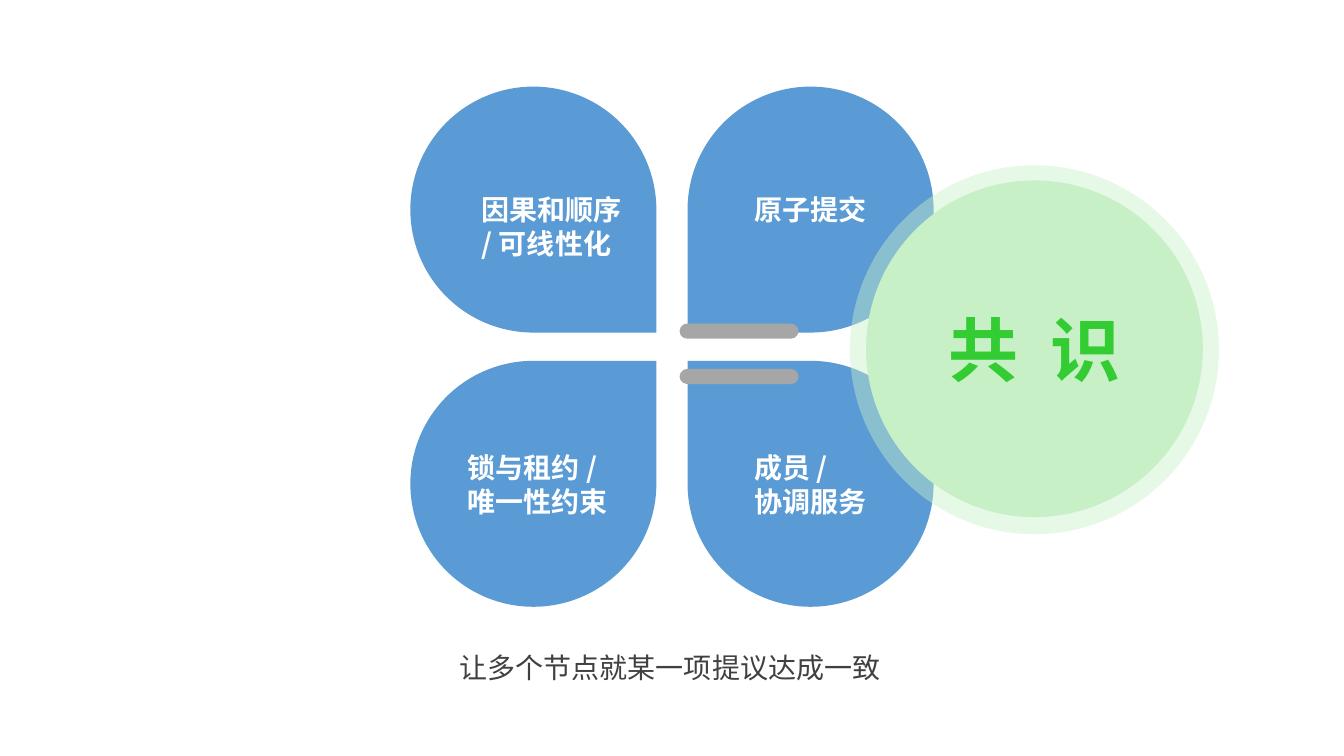
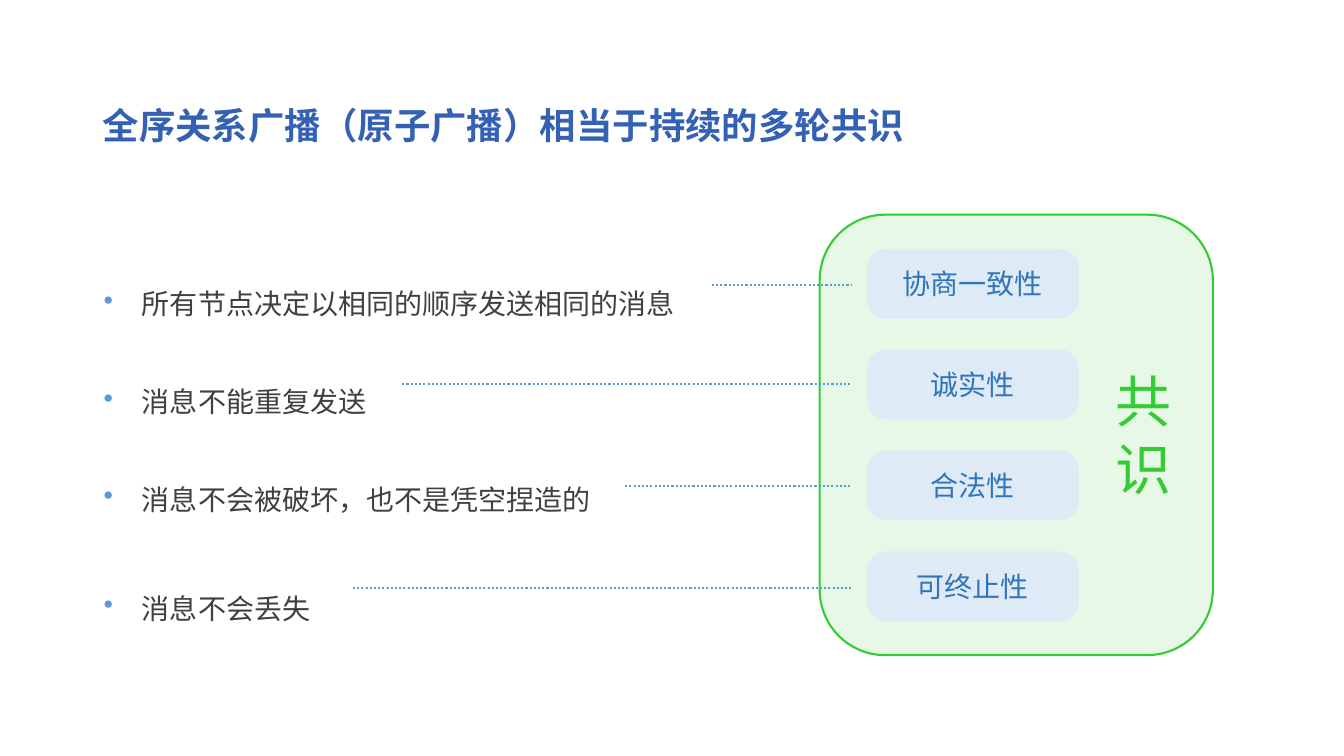
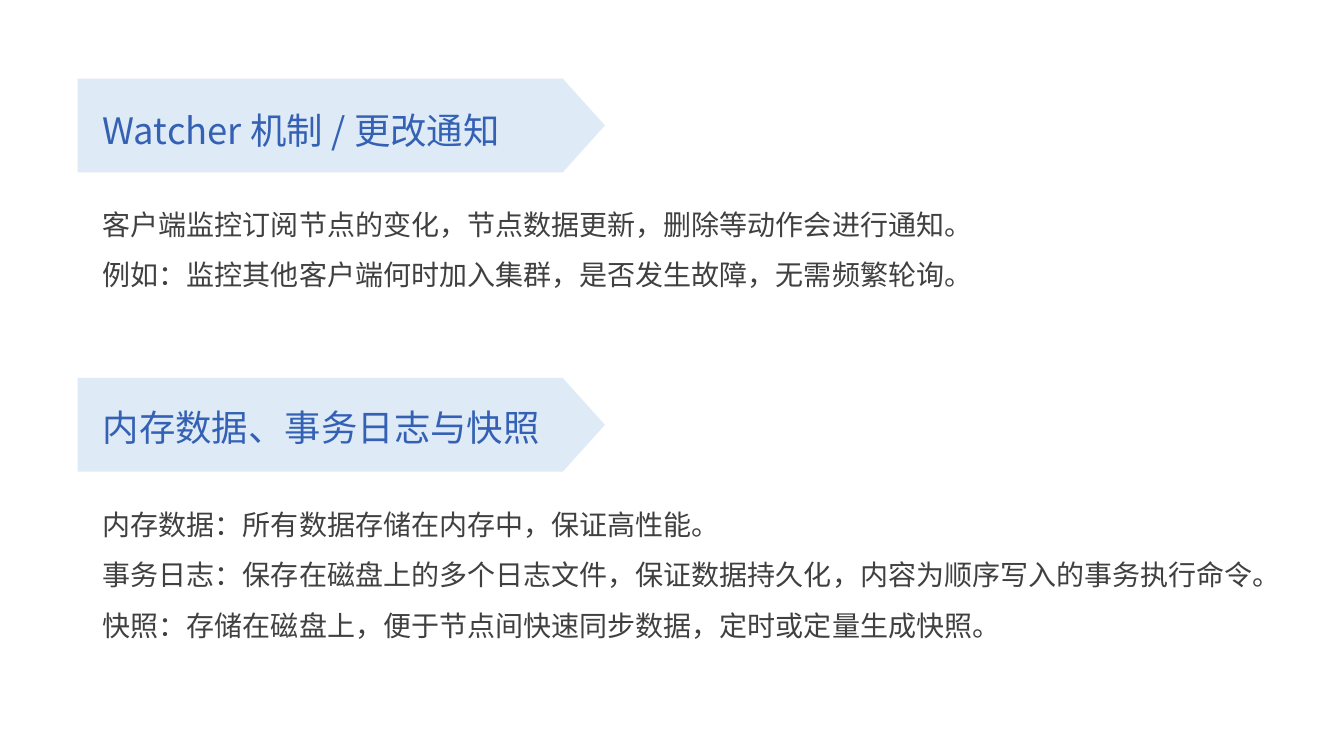
"""Build three slides on consensus, broadcast and watchers."""
import dataclasses
import itertools

import pptx
import pptx.dml.color
import pptx.enum.dml
import pptx.enum.shapes
import pptx.enum.text
import pptx.oxml.ns
import pptx.util
from lxml import etree


@dataclasses.dataclass(frozen=True)
class Theme:
    font: str = "Noto Sans CJK SC"
    white: str = "FFFFFF"
    ink: str = "404040"
    blue: str = "5B9BD5"
    pale: str = "DEEBF7"
    label: str = "3075BA"
    title: str = "3561B4"
    green: str = "33CC33"
    mint: str = "C7F0C6"
    gray: str = "A6A6A6"
    body: int = 20
    head: int = 26
    tall: int = 40
    huge: int = 50
    line: float = 1.5


THEME = Theme()
SCALE = 9144
SHAPE = pptx.enum.shapes.MSO_SHAPE
ALIGN = pptx.enum.text.PP_ALIGN
FIT = pptx.enum.text.MSO_AUTO_SIZE

PETALS = [
    (468, 186, 160, 77, "因果和顺序\n/ 可线性化"),
    (738, 186, 132, 44, "原子提交"),
    (454, 442, 160, 77, "锁与租约 /\n唯一性约束"),
    (738, 442, 132, 77, "成员 /\n协调服务"),
]
MOTTO = "让多个节点就某一项提议达成一致"
CORE = "共 识"

TITLE = "全序关系广播（原子广播）相当于持续的多轮共识"
TRAITS = [
    ("所有节点决定以相同的顺序发送相同的消息", 213, "协商一致性", 706, 283),
    ("消息不能重复发送", 310, "诚实性", 399, 381),
    ("消息不会被破坏，也不是凭空捏造的", 407, "合法性", 620, 482),
    ("消息不会丢失", 515, "可终止性", 350, 583),
]

TOPICS = [
    (78, 102, "Watcher 机制 / 更改通知", 184, 111,
     "客户端监控订阅节点的变化，节点数据更新，删除等动作会进行通知。\n"
     "例如：监控其他客户端何时加入集群，是否发生故障，无需频繁轮询。"),
    (375, 397, "内存数据、事务日志与快照", 482, 156,
     "内存数据：所有数据存储在内存中，保证高性能。\n"
     "事务日志：保存在磁盘上的多个日志文件，保证数据持久化，内容为顺序写入的事务执行命令。\n"
     "快照：存储在磁盘上，便于节点间快速同步数据，定时或定量生成快照。"),
]


def px(*sizes):
    return [pptx.util.Emu(size * SCALE) for size in sizes]


def color(code):
    return pptx.dml.color.RGBColor.from_string(code)


def child(node, tag, **attrs):
    return etree.SubElement(node, pptx.oxml.ns.qn(tag), attrs)


def write(frame, text, size=THEME.body, ink=THEME.ink, bold=False,
          align=ALIGN.LEFT, lead=None, dot=None, track=None):
    for num, part in enumerate(text.split("\n")):
        para = frame.add_paragraph() if num else frame.paragraphs[0]
        para.alignment = align
        if lead:
            para.line_spacing = lead
        if dot:
            props = para._p.get_or_add_pPr()
            props.set("marL", str(38 * SCALE))
            props.set("indent", str(-38 * SCALE))
            child(child(props, "a:buClr"), "a:srgbClr", val=dot)
            child(props, "a:buChar", char="•")
        run = para.add_run()
        run.text = part
        run.font.size = pptx.util.Pt(size)
        run.font.bold = bold
        run.font.name = THEME.font
        run.font.color.rgb = color(ink)
        props = run._r.get_or_add_rPr()
        child(props, "a:ea", typeface=THEME.font)
        if track:
            props.set("spc", str(track))


def label(slide, spot, text, wrap=True, **style):
    frame = slide.shapes.add_textbox(*px(*spot)).text_frame
    frame.word_wrap = wrap
    frame.auto_size = FIT.SHAPE_TO_FIT_TEXT
    write(frame, text, **style)


def draw(slide, kind, spot, fill, alpha=None, round=None, edge=None):
    shape = slide.shapes.add_shape(kind, *px(*spot))
    shape.shadow.inherit = False
    shape.fill.solid()
    shape.fill.fore_color.rgb = color(fill)
    if alpha:
        tint = shape._element.spPr.find(".//" + pptx.oxml.ns.qn("a:srgbClr"))
        child(tint, "a:alpha", val=str(alpha * 1000))
    if round:
        shape.adjustments[0] = round
    if edge:
        shape.line.color.rgb = color(edge)
        shape.line.width = pptx.util.Pt(THEME.line)
    else:
        shape.line.fill.background()
    return shape


def dots(slide, left, right, top):
    line = slide.shapes.add_connector(
        pptx.enum.shapes.MSO_CONNECTOR.STRAIGHT, *px(left, top, right, top))
    line.line.color.rgb = color(THEME.blue)
    line.line.width = pptx.util.Pt(THEME.line)
    line.line.dash_style = pptx.enum.dml.MSO_LINE.ROUND_DOT
    child(line._element.spPr, "a:effectLst")


def clover(slide):
    for row, col in itertools.product(range(2), repeat=2):
        spot = (407 + 275 * col, 86 + 272 * row, 244, 244)
        frame = draw(slide, SHAPE.TEAR, spot, THEME.blue)._element.spPr.xfrm
        frame.set("flipH", str(col))
        frame.set("flipV", str(1 - row))
    for *spot, text in PETALS:
        label(slide, spot, text, wrap=False, ink=THEME.white, bold=True)
    label(slide, (446, 624, 439, 61), MOTTO, lead=1.5)
    draw(slide, SHAPE.OVAL, (843, 164, 366, 366), THEME.mint, alpha=43)
    core = draw(slide, SHAPE.OVAL, (859, 179, 334, 334), THEME.mint)
    write(core.text_frame, CORE, size=THEME.huge, ink=THEME.green, bold=True,
          align=ALIGN.CENTER, track=560)
    for top in (321, 366):
        draw(slide, SHAPE.ROUNDED_RECTANGLE, (674, top, 118, 15), THEME.gray,
             round=0.5)


def traits(slide):
    label(slide, (92, 97, 1082, 54), TITLE, size=THEME.head, ink=THEME.title,
          bold=True)
    draw(slide, SHAPE.ROUNDED_RECTANGLE, (813, 213, 390, 437), THEME.mint,
         alpha=41, edge=THEME.green)
    label(slide, (1097, 359, 76, 145), "共\n识", wrap=False, size=THEME.tall,
          ink=THEME.green)
    for num, (text, top, name, left, mid) in enumerate(TRAITS):
        label(slide, (93, top, 613, 93), text, lead=3.0, dot=THEME.blue)
        tag = draw(slide, SHAPE.ROUNDED_RECTANGLE,
                   (860, 247 + 100 * num, 210, 69), THEME.pale, round=0.27)
        write(tag.text_frame, name, ink=THEME.label, align=ALIGN.CENTER)
        dots(slide, left, 845, mid)


def topics(slide):
    for top, line, head, base, high, text in TOPICS:
        draw(slide, SHAPE.PENTAGON, (77, top, 523, 93), THEME.pale, round=0.45)
        label(slide, (92, line, 537, 54), head, size=THEME.head,
              ink=THEME.title)
        label(slide, (92, base, 1172, high), text, lead=1.5)


def main():
    deck = pptx.Presentation()
    deck.slide_width, deck.slide_height = px(1333, 750)
    for build in (clover, traits, topics):
        build(deck.slides.add_slide(deck.slide_layouts[6]))
    deck.save("out.pptx")


if __name__ == "__main__":
    main()
